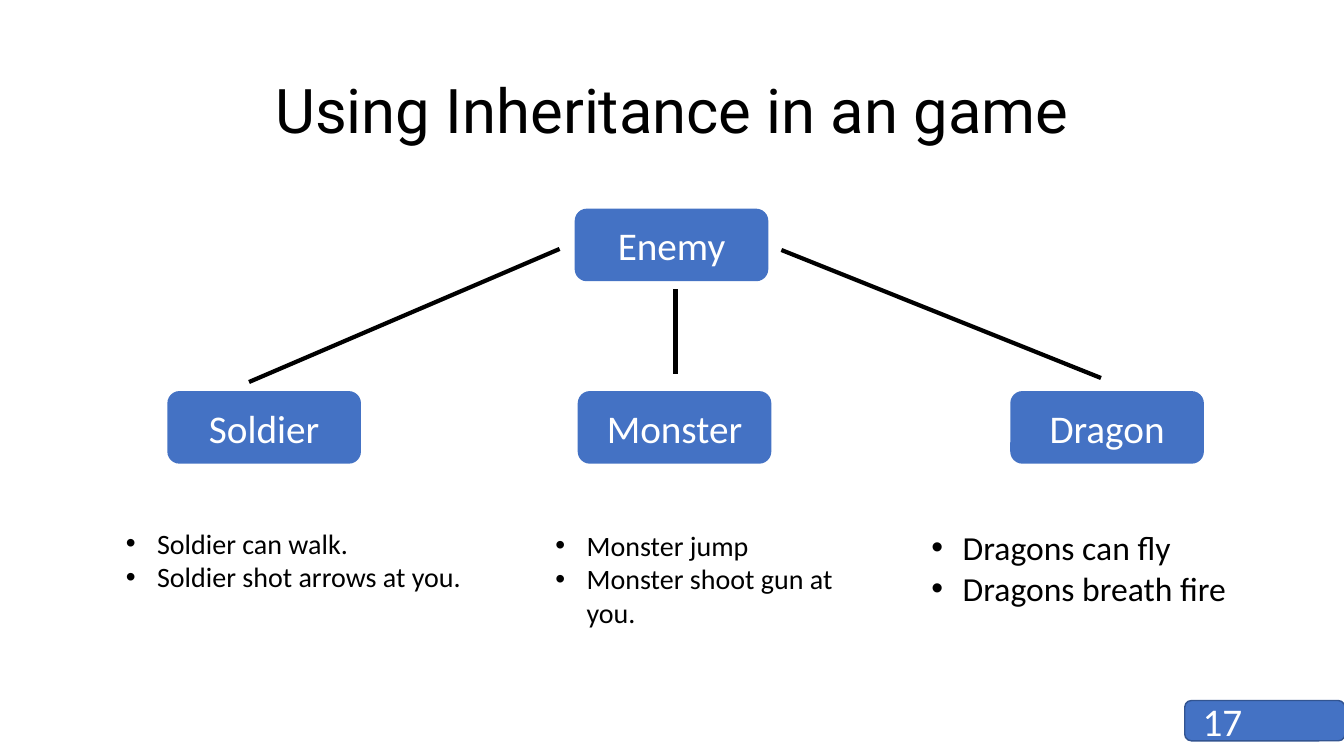
import pptx
import pptx.dml.color
import pptx.enum.shapes
import pptx.enum.text
import pptx.util
from lxml import etree
from pptx.util import Inches

COLORS = {"box": "4472C4", "edge": "325491", "ink": "000000", "light": "FFFFFF"}
ALIGN = pptx.enum.text.PP_ALIGN
MIDDLE = pptx.enum.text.MSO_ANCHOR.MIDDLE


def color(name):
    return pptx.dml.color.RGBColor.from_string(COLORS[name])


def write(paragraph, text, size, ink, align, font="Calibri"):
    """Add one formatted run to a paragraph and align it."""
    paragraph.alignment = align
    run = paragraph.add_run()
    run.text = text
    run.font.name = font
    run.font.size = pptx.util.Pt(size)
    run.font.color.rgb = color(ink)


deck = pptx.Presentation()
deck.slide_width, deck.slide_height = Inches(13.33), Inches(7.5)
slide = deck.slides.add_slide(deck.slide_layouts[5])
shapes = slide.shapes

# Title
title = shapes.title
title.left, title.top = Inches(0.92), Inches(0.4)
title.width, title.height = Inches(11.5), Inches(1.45)
title.text_frame.vertical_anchor = MIDDLE
heading = title.text_frame.paragraphs[0]
heading.line_spacing = 0.9
write(heading, "Using Inheritance in an game", 44, "ink", ALIGN.CENTER, "Roboto")

# Class boxes and the page badge
boxes = [
    ("", 11.75, 6.95, 1.59, 0.4),
    ("Enemy", 5.7, 2.07, 1.92, 0.72),
    ("Soldier", 1.66, 3.88, 1.92, 0.72),
    ("Monster", 5.73, 3.88, 1.92, 0.72),
    ("Dragon", 10.02, 3.88, 1.92, 0.72),
]
for class_name, left, top, width, height in boxes:
    box = shapes.add_shape(
        pptx.enum.shapes.MSO_SHAPE.ROUNDED_RECTANGLE,
        Inches(left), Inches(top), Inches(width), Inches(height))
    box.shadow.inherit = False
    box.fill.solid()
    box.fill.fore_color.rgb = color("box")
    if class_name:
        box.line.fill.background()
        box.text_frame.vertical_anchor = MIDDLE
        write(box.text_frame.paragraphs[0], class_name, 28, "light", ALIGN.CENTER)
    else:
        box.line.color.rgb = color("edge")
        box.line.width = pptx.util.Pt(1)

# Page number
page_number = shapes.add_textbox(Inches(9.42), Inches(6.95), Inches(3), Inches(0.4))
page_number.text_frame.word_wrap = True
page_number.text_frame.vertical_anchor = MIDDLE
write(page_number.text_frame.paragraphs[0], "17", 28, "light", ALIGN.RIGHT)

# Abilities of each subclass
abilities = [
    (1.15, 5.17, 3.77, 1.11, 20, ["Soldier can walk.", "Soldier shot arrows at you."]),
    (5.41, 5.19, 3.24, 1.11, 20, ["Monster jump", "Monster shoot gun at you."]),
    (9.14, 5.18, 4.05, 0.91, 24, ["Dragons can fly", "Dragons breath fire"]),
]
for left, top, width, height, size, actions in abilities:
    ability_list = shapes.add_textbox(
        Inches(left), Inches(top), Inches(width), Inches(height))
    frame = ability_list.text_frame
    frame.word_wrap = True
    frame.auto_size = pptx.enum.text.MSO_AUTO_SIZE.SHAPE_TO_FIT_TEXT
    for index, action in enumerate(actions):
        paragraph = frame.add_paragraph() if index else frame.paragraphs[0]
        write(paragraph, action, size, "ink", ALIGN.LEFT)
        properties = paragraph._p.get_or_add_pPr()
        properties.set("marL", str(Inches(0.31)))
        properties.set("indent", str(Inches(-0.31)))
        etree.SubElement(properties, pptx.oxml.ns.qn("a:buFont"), typeface="Arial")
        etree.SubElement(properties, pptx.oxml.ns.qn("a:buChar"), char="•")

# Inheritance lines
branches = [
    (5.55, 2.47, 2.47, 3.79),
    (6.7, 3.71, 6.7, 2.87),
    (10.92, 3.75, 7.75, 2.48),
]
for ends in branches:
    branch = shapes.add_connector(
        pptx.enum.shapes.MSO_CONNECTOR.STRAIGHT, *[Inches(end) for end in ends])
    branch.line.color.rgb = color("ink")
    branch.line.width = pptx.util.Pt(3)
    etree.SubElement(branch._element.spPr, pptx.oxml.ns.qn("a:effectLst"))

deck.save("out.pptx")
